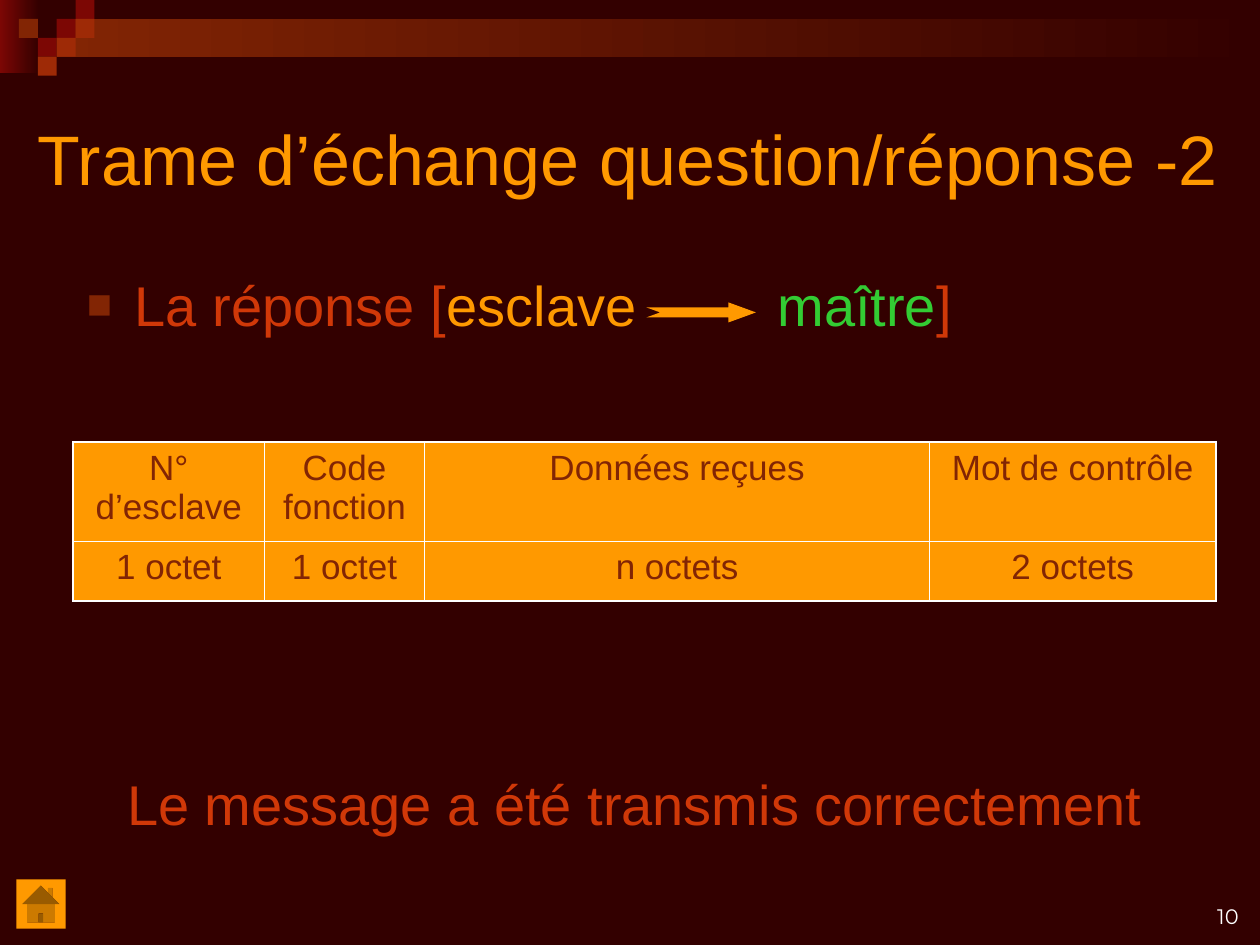
from dataclasses import dataclass

from lxml.etree import SubElement
from pptx import Presentation
from pptx.dml.color import RGBColor
from pptx.enum.shapes import MSO_SHAPE
from pptx.enum.text import MSO_ANCHOR, MSO_AUTO_SIZE, PP_ALIGN
from pptx.oxml.ns import qn
from pptx.util import Inches, Pt


@dataclass(frozen=True)
class Theme:
    background: str = "330000"
    dark_red: str = "7C0704"
    brown: str = "822504"
    rust: str = "9E2A06"
    red: str = "D03808"
    orange: str = "FF9900"
    green: str = "33CC33"
    white: str = "FFFFFF"
    font: str = "Arial"
    number_font: str = "Montserrat"
    title_size: int = 40
    body_size: int = 32
    table_size: int = 20
    number_size: int = 12
    outer_line: float = 1.08
    inner_line: float = 0.45


THEME = Theme()


def color(value):
    return RGBColor.from_string(value)


def add_span(para, text, size, shade, font=THEME.font):
    span = para.add_run()
    span.text = text
    span.font.name = font
    span.font.size = Pt(size)
    span.font.color.rgb = color(shade)


def place(shape, left, top, width, height):
    shape.left, shape.top = Inches(left), Inches(top)
    shape.width, shape.height = Inches(width), Inches(height)


def first_para(shape, align=PP_ALIGN.LEFT, anchor=MSO_ANCHOR.TOP):
    frame = shape.text_frame
    frame.word_wrap = True
    frame.auto_size = MSO_AUTO_SIZE.NONE
    frame.vertical_anchor = anchor
    para = frame.paragraphs[0]
    para.alignment = align
    para.space_before = Pt(0)
    return para


def add_solid(slide, kind, left, top, width, height, shade):
    shape = slide.shapes.add_shape(
        kind, Inches(left), Inches(top), Inches(width), Inches(height))
    shape.shadow.inherit = False
    shape.fill.solid()
    shape.fill.fore_color.rgb = color(shade)
    shape.line.fill.background()
    return shape


def add_fade(slide, left, top, width, height, shade):
    """Rectangle that fades from a shade on the left into the background."""
    shape = add_solid(slide, MSO_SHAPE.RECTANGLE, left, top, width, height, shade)
    shape.fill.gradient()
    shape.fill.gradient_angle = 180
    for stop, position, value in zip(
            shape.fill.gradient_stops, (0, 1), (THEME.background, shade)):
        stop.position = position
        stop.color.rgb = color(value)


def add_mosaic(slide):
    add_fade(slide, 0, 0, 0.31, 0.58, THEME.dark_red)
    add_fade(slide, 0.45, 0.15, 9.55, 0.3, THEME.brown)
    side = 0.15
    squares = [(3, 1, THEME.dark_red), (4, 0, THEME.dark_red), (4, 1, THEME.rust),
               (2, 2, THEME.dark_red), (1, 1, THEME.brown), (3, 2, THEME.rust),
               (2, 3, THEME.rust)]
    for column, row, shade in squares:
        add_solid(slide, MSO_SHAPE.RECTANGLE, column * side, row * side,
                  side, side, shade)


def add_title(slide, text):
    title = slide.shapes.title
    place(title, 0.2, 0.5, 9.8, 1.5)
    add_span(first_para(title, anchor=MSO_ANCHOR.MIDDLE), text,
             THEME.title_size, THEME.orange)


def set_bullet_and_tab(para, tab):
    properties = para._p.get_or_add_pPr()
    properties.set("marL", str(Inches(0.38)))
    properties.set("indent", str(Inches(-0.38)))
    bullet_color = SubElement(properties, qn("a:buClr"))
    SubElement(bullet_color, qn("a:srgbClr"), val=THEME.brown)
    SubElement(properties, qn("a:buSzPct"), val="75000")
    SubElement(properties, qn("a:buFont"), typeface=THEME.font)
    SubElement(properties, qn("a:buChar"), char="■")
    tabs = SubElement(properties, qn("a:tabLst"))
    SubElement(tabs, qn("a:tab"), pos=str(Inches(tab)), algn="l")


def add_answer_line(slide):
    body = slide.placeholders[1]
    place(body, 0.59, 2.1, 8.66, 1.02)
    para = first_para(body)
    set_bullet_and_tab(para, 5.48)
    for text, shade in [("La réponse [", THEME.red), ("esclave\t", THEME.orange),
                        ("maître", THEME.green), ("]", THEME.red)]:
        add_span(para, text, THEME.body_size, shade)


def set_borders(cell, widths):
    properties = cell._tc.get_or_add_tcPr()
    for index, (side, width) in enumerate(widths.items()):
        line = properties.makeelement(qn(f"a:{side}"), {"w": str(Pt(width))})
        fill = SubElement(line, qn("a:solidFill"))
        SubElement(fill, qn("a:srgbClr"), val=THEME.white)
        properties.insert(index, line)


def add_frame_table(slide, rows, column_widths, row_heights):
    table = slide.shapes.add_table(
        len(rows), len(column_widths), Inches(0.58), Inches(3.51),
        Inches(sum(column_widths)), Inches(sum(row_heights))).table
    for column, width in zip(table.columns, column_widths):
        column.width = Inches(width)
    for row, height in zip(table.rows, row_heights):
        row.height = Inches(height)

    def weight(is_outer):
        return THEME.outer_line if is_outer else THEME.inner_line

    for r, texts in enumerate(rows):
        for c, text in enumerate(texts):
            cell = table.cell(r, c)
            cell.fill.solid()
            cell.fill.fore_color.rgb = color(THEME.orange)
            para = cell.text_frame.paragraphs[0]
            para.alignment = PP_ALIGN.CENTER
            add_span(para, text, THEME.table_size, THEME.brown)
            set_borders(cell, {"lnL": weight(c == 0),
                               "lnR": weight(c == len(texts) - 1),
                               "lnT": weight(r == 0),
                               "lnB": weight(r == len(rows) - 1)})


def add_text(slide, area, text, size, shade, align, anchor, font=THEME.font):
    box = slide.shapes.add_textbox(*map(Inches, area))
    add_span(first_para(box, align, anchor), text, size, shade, font)


def main():
    deck = Presentation()
    deck.slide_width, deck.slide_height = Inches(10), Inches(7.5)
    slide = deck.slides.add_slide(deck.slide_layouts[1])
    slide.background.fill.solid()
    slide.background.fill.fore_color.rgb = color(THEME.background)

    add_mosaic(slide)
    add_answer_line(slide)
    add_title(slide, "Trame d’échange question/réponse -2")
    add_frame_table(
        slide,
        [["N° d’esclave", "Code fonction", "Données reçues", "Mot de contrôle"],
         ["1 octet", "1 octet", "n octets", "2 octets"]],
        [1.52, 1.27, 4.01, 2.27], [0.79, 0.47])
    arrow = add_solid(slide, MSO_SHAPE.NOTCHED_RIGHT_ARROW,
                      5.13, 2.4, 0.87, 0.16, THEME.orange)
    arrow.adjustments[1] = 1.37
    add_solid(slide, MSO_SHAPE.ACTION_BUTTON_HOME, 0.13, 6.98, 0.39, 0.39, THEME.orange)
    add_text(slide, (0.59, 6.06, 8.9, 0.64), "Le message a été transmis correctement",
             THEME.body_size, THEME.red, PP_ALIGN.CENTER, MSO_ANCHOR.TOP)
    add_text(slide, (7.6, 6.92, 2.33, 0.5), "10", THEME.number_size, THEME.white,
             PP_ALIGN.RIGHT, MSO_ANCHOR.BOTTOM, THEME.number_font)
    deck.save("out.pptx")


if __name__ == "__main__":
    main()
